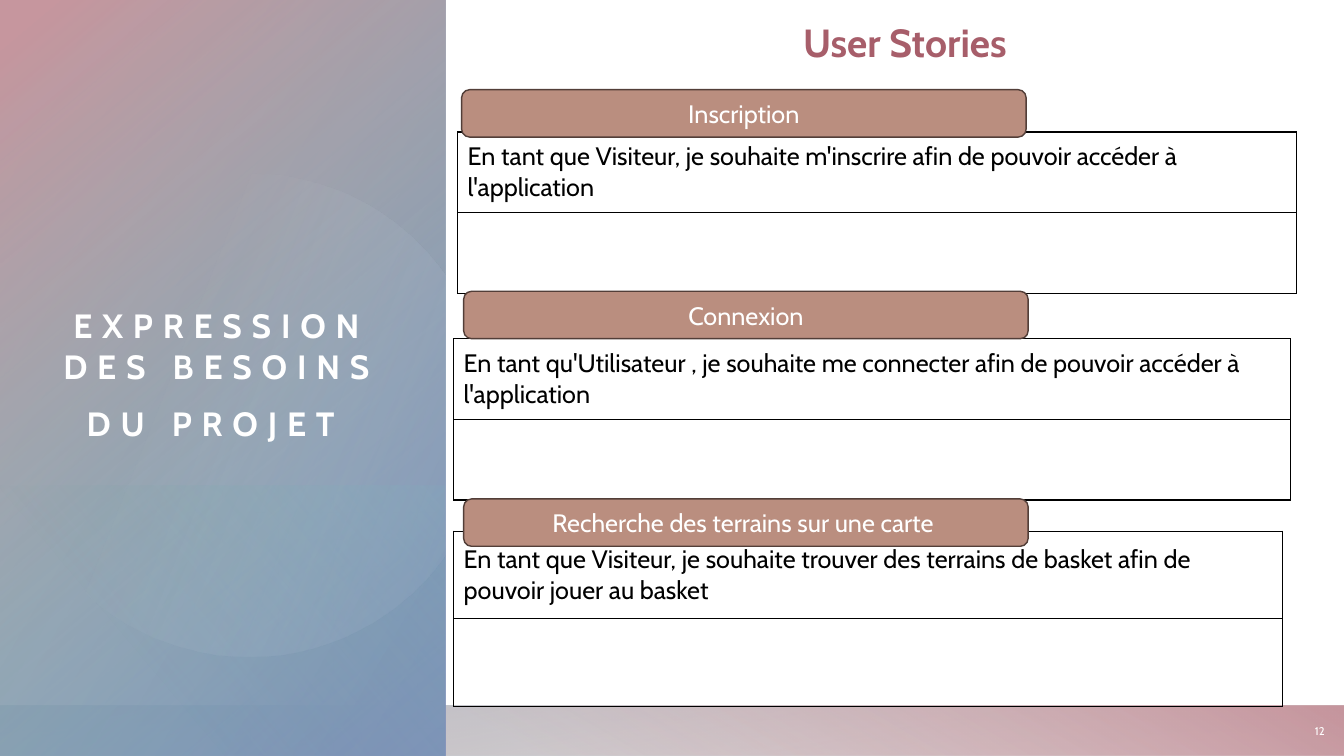
import math
import pptx
import pptx.dml.color
import pptx.enum.shapes
import pptx.enum.text
import pptx.oxml
import pptx.oxml.ns
import pptx.util

UNIT = pptx.util.Inches(0.1)
FONT = "Cabin"
ALIGN = pptx.enum.text.PP_ALIGN
ANCHOR = pptx.enum.text.MSO_ANCHOR
SHAPE = pptx.enum.shapes.MSO_SHAPE


def cells(*counts):
    return [pptx.util.Emu(round(count * UNIT)) for count in counts]


def colour(hex_value):
    return pptx.dml.color.RGBColor.from_string(hex_value)


presentation = pptx.Presentation()
presentation.slide_width, presentation.slide_height = cells(133.33, 75)
slide = presentation.slides.add_slide(presentation.slide_layouts[6])
shapes = slide.shapes

panels = [
    ((0, 70, 133.33, 5), 180, 100, [(14, "76ACA6", 28), (100, "7EA8B9", 85)]),
    ((44.2, 70, 89.2, 5), 0, 240, [(9, "DDC0C5", 55), (99, "C6969E", 100)]),
    ((-15.4, 15.4, 75, 44.2), 90, 60, [(8, "7F90BA", 100), (100, "7EA8B9", 72)]),
    ((-15.4, 15.4, 75, 44.2), 90, 40, [(0, "76ACA6", 0), (96, "C6969E", 100)]),
    ((8.7, 39.6, 26.8, 44), 90, 130, [(2, "7EA8B9", 35), (67, "76ACA6", 0)]),
]
gradients = []
for box, rotation, angle, stops in panels:
    panel = shapes.add_shape(SHAPE.RECTANGLE, *cells(*box))
    panel._element.spPr.get_or_add_xfrm().set("flipH", "1")
    gradients.append((panel, rotation, angle, stops))

disc_start = (24.7, 17.2)
disc_segments = [
    [(26.2, 17.2), (27.9, 17.3), (29.5, 17.7)],
    [(35.2, 18.8), (39.9, 21.9), (43.3, 26.1)],
    [(44.2, 27.3)],
    [(44.2, 55)],
    [(43, 56.6)],
    [(37.5, 63.1), (28.7, 66.5), (19.8, 64.6)],
    [(6.8, 61.9), (-1.5, 49.3), (1.2, 36.3)],
    [(3.5, 25), (13.5, 17.1), (24.7, 17.2)],
]
disc_points = [disc_start]
for segment in disc_segments:
    controls = [disc_points[-1], *segment]
    degree = len(segment)
    steps = 16 if degree == 3 else 1
    for step in range(1, steps + 1):
        share = step / steps
        weights = [
            math.comb(degree, i) * share**i * (1 - share) ** (degree - i)
            for i in range(degree + 1)
        ]
        disc_points.append(tuple(
            sum(weight * control[axis] for weight, control in zip(weights, controls))
            for axis in (0, 1)
        ))

disc_rotation = 101.6
centre_x, centre_y = 23.65, 40.95
cosine = math.cos(math.radians(disc_rotation))
sine = math.sin(math.radians(disc_rotation))
turned_points = [
    cells(
        centre_x + (x - centre_x) * cosine + (y - centre_y) * sine,
        centre_y - (x - centre_x) * sine + (y - centre_y) * cosine,
    )
    for x, y in disc_points
]
builder = shapes.build_freeform(*turned_points[0], scale=1.0)
builder.add_line_segments(turned_points[1:], close=True)
disc = builder.convert_to_shape()
gradients.append((disc, disc_rotation, 280, [(39, "E4EEED", 0), (100, "7F90BA", 29)]))

for shape, rotation, angle, stops in gradients:
    shape.shadow.inherit = False
    shape.rotation = rotation
    shape.line.fill.background()
    shape.fill.gradient()
    shape.fill.gradient_angle = 360 - angle
    for stop, (position, hex_value, opacity) in zip(shape.fill.gradient_stops, stops):
        stop.position = position / 100
        stop.color.rgb = colour(hex_value)
    fill_colours = shape._element.spPr.iter(pptx.oxml.ns.qn("a:srgbClr"))
    for fill_colour, (_, _, opacity) in zip(fill_colours, stops):
        alpha = fill_colour.makeelement(pptx.oxml.ns.qn("a:alpha"), {"val": str(opacity * 1000)})
        fill_colour.append(alpha)

texts = []

title = shapes.add_textbox(*cells(4.2, 11.3, 35.5, 33)).text_frame
title.margin_left = title.margin_right = title.margin_top = title.margin_bottom = 0
title.vertical_anchor = ANCHOR.BOTTOM
title_paragraph = title.paragraphs[0]
texts.append((title_paragraph, "EXPRESSION DES BESOINS DU PROJET", 24, "FFFFFF", True, 7, ALIGN.CENTER))
texts.append((title_paragraph, " ", 36, "FFFFFF", True, 7, ALIGN.CENTER))

heading = shapes.add_textbox(*cells(55.8, 1.3, 68.8, 5.7)).text_frame
heading.auto_size = pptx.enum.text.MSO_AUTO_SIZE.SHAPE_TO_FIT_TEXT
texts.append((heading.paragraphs[0], "User Stories ", 28, "A75E6A", True, 0, ALIGN.CENTER))

page_number = shapes.add_textbox(*cells(127.6, 70.1, 4.8, 4.9)).text_frame
page_number.vertical_anchor = ANCHOR.MIDDLE
texts.append((page_number.paragraphs[0], "12", 8, "FFFFFF", False, 0, ALIGN.RIGHT))

for frame in (title, heading, page_number):
    frame.word_wrap = True

stories = [
    (45, 52.7, 82.2, 8.7, "En tant que Visiteur, je souhaite trouver des terrains de basket afin de pouvoir jouer au basket"),
    (45, 33.6, 83, 8, "En tant qu'Utilisateur , je souhaite me connecter afin de pouvoir accéder à l'application"),
    (45.4, 13.1, 83.2, 8, "En tant que Visiteur, je souhaite m'inscrire afin de pouvoir accéder à l'application"),
]
for left, top, width, row_height, story in stories:
    table = shapes.add_table(2, 1, *cells(left, top, width, 2 * row_height)).table
    table.first_row = table.horz_banding = False
    for cell in table.iter_cells():
        cell.fill.background()
        cell.vertical_anchor = ANCHOR.MIDDLE
        for index, side in enumerate(("lnL", "lnR", "lnT", "lnB")):
            border = pptx.oxml.parse_xml(
                f'<a:{side} {pptx.oxml.ns.nsdecls("a")} w="12700"><a:solidFill>'
                f'<a:srgbClr val="{colour("000000")}"/></a:solidFill></a:{side}>'
            )
            cell._tc.get_or_add_tcPr().insert(index, border)
    paragraph = table.cell(0, 0).text_frame.paragraphs[0]
    texts.append((paragraph, story, 18, "000000", False, 0, ALIGN.LEFT))

labels = [
    (45.8, 8.9, "Inscription"),
    (46, 28.9, "Connexion"),
    (46, 49.5, "Recherche des terrains sur une carte "),
]
for left, top, label in labels:
    button = shapes.add_shape(SHAPE.FLOWCHART_ALTERNATE_PROCESS, *cells(left, top, 56, 4.7))
    button.shadow.inherit = False
    button.fill.solid()
    button.fill.fore_color.rgb = colour("BA8E7F")
    button.line.color.rgb = colour("523E38")
    button.line.width = pptx.util.Pt(1)
    button.text_frame.vertical_anchor = ANCHOR.MIDDLE
    texts.append((button.text_frame.paragraphs[0], label, 18, "FFFFFF", False, 0, ALIGN.CENTER))

for paragraph, text, size, hex_value, bold, spacing, alignment in texts:
    paragraph.alignment = alignment
    run = paragraph.add_run()
    run.text = text
    run.font.name = FONT
    run.font.size = pptx.util.Pt(size)
    run.font.bold = bold
    run.font.color.rgb = colour(hex_value)
    if spacing:
        run._r.get_or_add_rPr().set("spc", str(spacing * 100))

presentation.save("out.pptx")
